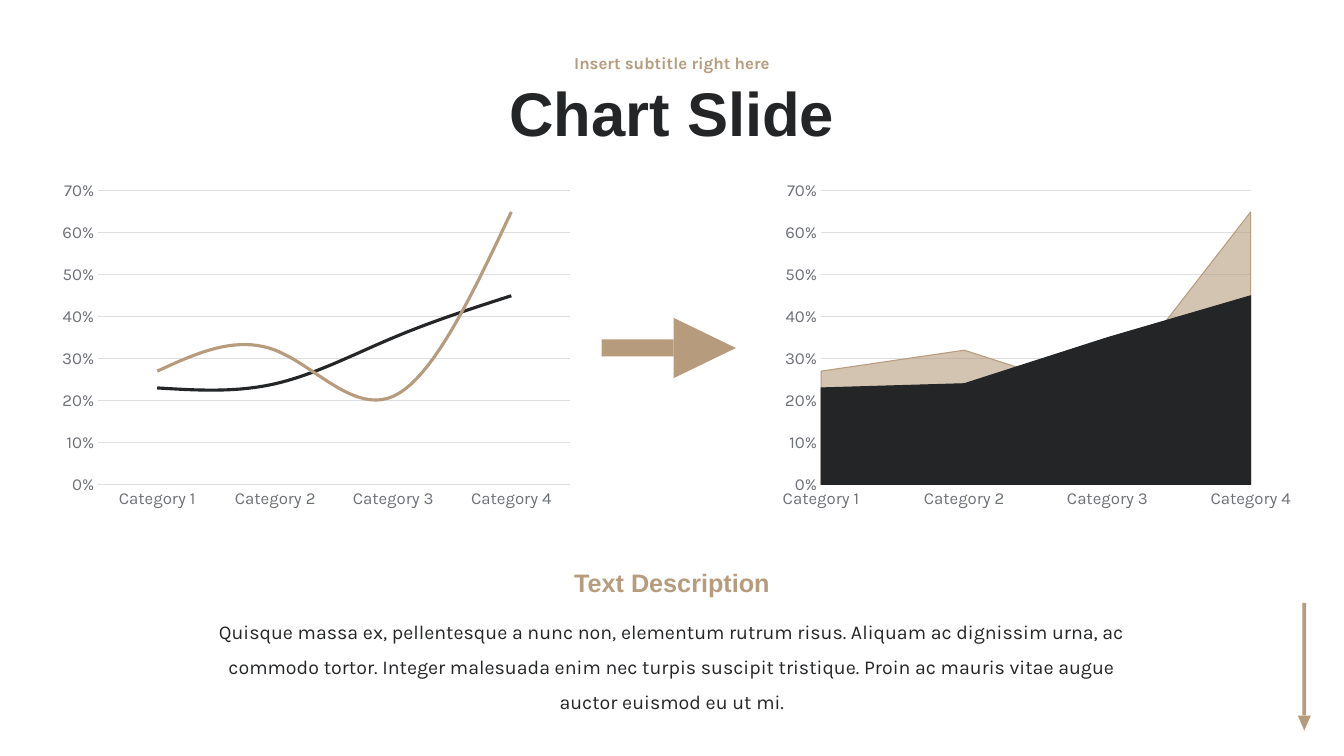
"""Build the chart slide: a line chart, an arrow and an area chart above a description."""
from dataclasses import dataclass

from lxml.etree import SubElement
from pptx import Presentation
from pptx.chart.data import CategoryChartData
from pptx.dml.color import RGBColor
from pptx.enum.chart import XL_CHART_TYPE as Kind, XL_TICK_MARK as Tick
from pptx.enum.shapes import MSO_SHAPE as Preset
from pptx.enum.text import MSO_ANCHOR as Anchor, MSO_AUTO_SIZE as Fit, PP_ALIGN as Align
from pptx.oxml.ns import qn
from pptx.util import Cm, Pt

TITLE = "Chart Slide"
SUBTITLE = "Insert subtitle right here"
HEADING = "Text Description"
DESCRIPTION = (
    "Quisque massa ex, pellentesque a nunc non, elementum rutrum risus. "
    "Aliquam ac dignissim urna, ac commodo tortor. Integer malesuada enim nec "
    "turpis suscipit tristique. Proin ac mauris vitae augue auctor euismod eu ut mi."
)
CATEGORIES = ["Category 1", "Category 2", "Category 3", "Category 4"]
SERIES = {
    "Series 1": [0.23, 0.24, 0.35, 0.45],
    "Series 2": [0.27, 0.32, 0.21, 0.65],
}
AREA_OPACITY = {"Series 2": 60}


@dataclass(frozen=True)
class Theme:
    """Colours, fonts and type sizes."""
    dark: str = "242527"
    accent: str = "B69B7D"
    axis_text: str = "6D7076"
    grid: str = "DDDEE0"
    display: str = "Arial"
    text: str = "Karla"
    title_size: int = 44
    heading_size: int = 18
    body_size: int = 14
    small_size: int = 12
    chart_size: int = 10


THEME = Theme()
SERIES_COLOURS = [THEME.dark, THEME.accent]

SLIDE_WIDTH, SLIDE_HEIGHT = 33.87, 19.05
CHART_TOP, CHART_WIDTH, CHART_HEIGHT = 4.39, 13.34, 8.59
LINE_CHART_LEFT, AREA_CHART_LEFT = 1.3, 19.46
ARROW_LEFT, ARROW_MIDDLE = 15.16, 8.77
MARKER_MIDDLE, MARKER_TOP = 32.87, 15.19


def centred(width):
    """Return the left edge that centres a width on the slide."""
    return (SLIDE_WIDTH - width) / 2


def style_font(font, *, size, colour, family=THEME.text, bold=False):
    """Set the look of a font."""
    font.size, font.name, font.bold = Pt(size), family, bold
    font.color.rgb = RGBColor.from_string(colour)


def write(holder, text, *, box, anchor=Anchor.TOP, spacing=1.0, fit=Fit.NONE, **look):
    """Place a text holder and fill it with one centred paragraph."""
    holder.left, holder.top, holder.width, holder.height = map(Cm, box)
    frame = holder.text_frame
    frame.word_wrap, frame.auto_size, frame.vertical_anchor = True, fit, anchor
    paragraph = frame.paragraphs[0]
    paragraph.alignment, paragraph.line_spacing = Align.CENTER, spacing
    paragraph.space_before = Pt(0)
    run = paragraph.add_run()
    run.text = text
    style_font(run.font, **look)


def add_accent(slide, preset, centre_x, centre_y, width, height, rotation=0):
    """Add a plain accent shape around a centre point."""
    accent = slide.shapes.add_shape(
        preset, Cm(centre_x - width / 2), Cm(centre_y - height / 2), Cm(width), Cm(height))
    accent.rotation = rotation
    accent.shadow.inherit = False
    accent.fill.solid()
    accent.fill.fore_color.rgb = RGBColor.from_string(THEME.accent)
    accent.line.fill.background()


def style_line(line, colour, width):
    """Set the colour and width of a line."""
    line.color.rgb, line.width = RGBColor.from_string(colour), Pt(width)


def style_axes(chart):
    """Format the category and percentage axes."""
    for axis in (chart.category_axis, chart.value_axis):
        axis.major_tick_mark = axis.minor_tick_mark = Tick.NONE
        style_font(axis.tick_labels.font, size=THEME.small_size, colour=THEME.axis_text)
    style_line(chart.category_axis.format.line, THEME.grid, 0.75)
    percent = chart.value_axis
    percent.minimum_scale, percent.maximum_scale, percent.major_unit = 0, 0.7, 0.1
    percent.has_major_gridlines = True
    style_line(percent.major_gridlines.format.line, THEME.grid, 0.75)
    percent.format.line.fill.background()
    percent.tick_labels.number_format = "0%"
    percent.tick_labels.number_format_is_linked = False


def add_trend(slide, kind, left):
    """Add the series as a smooth line chart or an area chart."""
    trend_data = CategoryChartData(number_format="0%")
    trend_data.categories = CATEGORIES
    for name, shares in SERIES.items():
        trend_data.add_series(name, shares)
    chart = slide.shapes.add_chart(
        kind, Cm(left), Cm(CHART_TOP), Cm(CHART_WIDTH), Cm(CHART_HEIGHT), trend_data).chart
    chart.has_legend = chart.has_title = False
    style_font(chart.font, size=THEME.chart_size, colour=THEME.dark)
    style_axes(chart)
    plot = chart.plots[0]
    plot.vary_by_categories = False
    is_area = kind == Kind.AREA
    for series, colour in zip(plot.series, SERIES_COLOURS):
        style_line(series.format.line, colour, 0.75 if is_area else 2.25)
        if not is_area:
            series.smooth = True
            continue
        fill = series.format.fill
        fill.solid()
        fill.fore_color.rgb = RGBColor.from_string(colour)
        if series.name in AREA_OPACITY:
            solid = series.format.fill._xPr.find(qn("a:solidFill"))
            opacity = SubElement(solid[0], qn("a:alpha"))
            opacity.set("val", str(AREA_OPACITY[series.name] * 1000))
    if is_area:
        for crossing in chart._chartSpace.iter(qn("c:crossBetween")):
            crossing.set("val", "midCat")


def main():
    """Build and save the slide."""
    deck = Presentation()
    deck.slide_width, deck.slide_height = Cm(SLIDE_WIDTH), Cm(SLIDE_HEIGHT)
    slide = deck.slides.add_slide(deck.slide_layouts[0])

    add_accent(slide, Preset.RECTANGLE, MARKER_MIDDLE, MARKER_TOP + 1.42, 0.1, 2.84)
    add_accent(slide, Preset.ISOSCELES_TRIANGLE, MARKER_MIDDLE, MARKER_TOP + 3.03,
               0.33, 0.38, rotation=180)

    write(slide.shapes.title, TITLE, box=(centred(19.05), 1.63, 19.05, 2.62),
          anchor=Anchor.MIDDLE, spacing=0.9, size=THEME.title_size,
          colour=THEME.dark, family=THEME.display, bold=True)
    write(slide.placeholders[1], SUBTITLE, box=(centred(19.05), 1.14, 19.05, 0.97),
          anchor=Anchor.MIDDLE, spacing=0.9, size=THEME.small_size,
          colour=THEME.accent, bold=True)

    add_trend(slide, Kind.LINE, LINE_CHART_LEFT)
    add_accent(slide, Preset.RECTANGLE, ARROW_LEFT + 0.91, ARROW_MIDDLE, 1.82, 0.43)
    add_accent(slide, Preset.ISOSCELES_TRIANGLE, ARROW_LEFT + 2.6, ARROW_MIDDLE,
               1.52, 1.57, rotation=90)
    add_trend(slide, Kind.AREA, AREA_CHART_LEFT)

    description, heading = (slide.shapes.add_textbox(0, 0, 0, 0) for _ in range(2))
    write(description, DESCRIPTION, box=(centred(24.13), 15.19, 24.13, 1.96),
          spacing=1.5, fit=Fit.SHAPE_TO_FIT_TEXT, size=THEME.body_size, colour=THEME.dark)
    write(heading, HEADING, box=(centred(7.42), 14.17, 7.42, 1.02),
          fit=Fit.SHAPE_TO_FIT_TEXT, size=THEME.heading_size, colour=THEME.accent,
          family=THEME.display, bold=True)
    deck.save("out.pptx")


if __name__ == "__main__":
    main()
